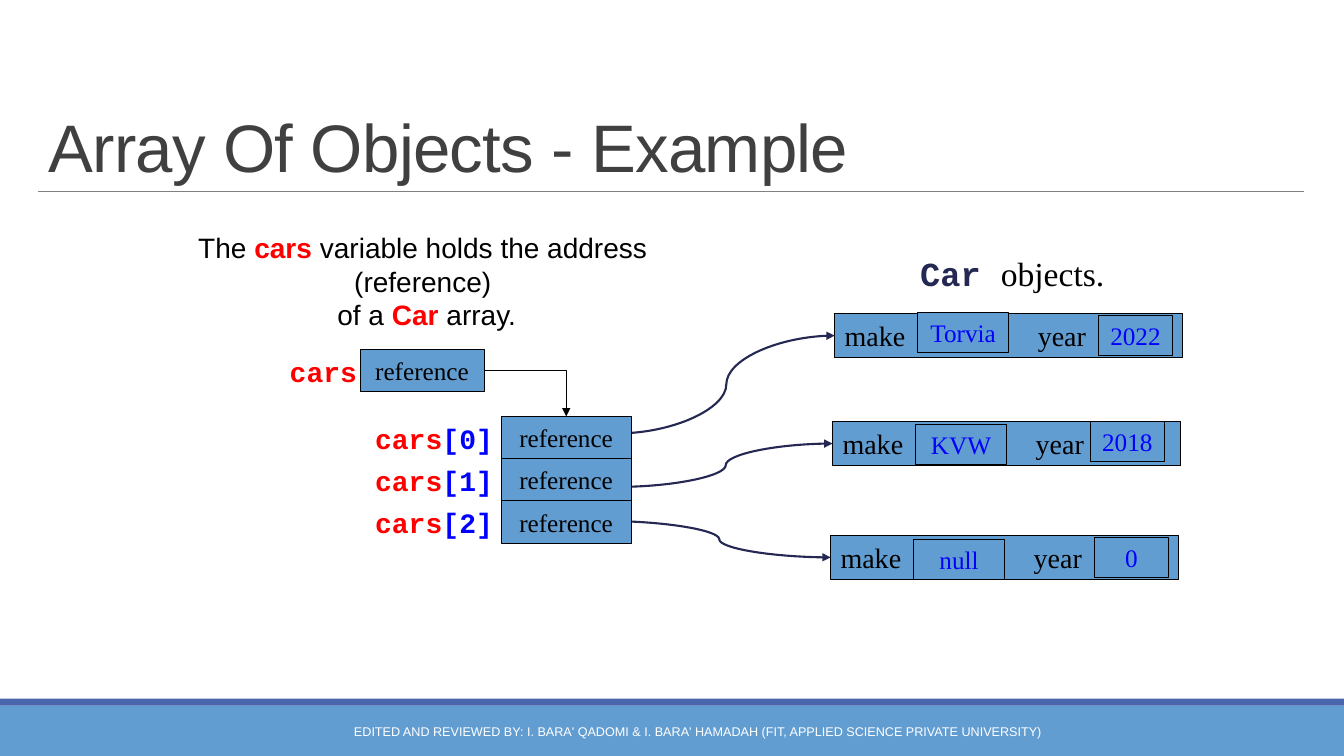
from dataclasses import dataclass

from lxml.etree import SubElement
from pptx import Presentation
from pptx.dml.color import RGBColor
from pptx.enum.shapes import MSO_CONNECTOR as Link, MSO_SHAPE as Preset
from pptx.enum.text import MSO_ANCHOR as Anchor, PP_ALIGN as Align
from pptx.oxml.ns import qn
from pptx.shapes.autoshape import Shape
from pptx.shapes.connector import Connector
from pptx.text.text import TextFrame
from pptx.util import Pt

SKY, INDIGO, NAVY = "629DD1", "4A66AC", "242852"
BLACK, WHITE, RED, BLUE = "000000", "FFFFFF", "FF0000", "0000FF"
SANS, MONO, SERIF = "Arial", "Courier New", "Times New Roman"


@dataclass(frozen=True)
class Box:
    left: float
    top: float
    width: float
    height: float


@dataclass(frozen=True)
class Words:
    text: str
    size: float
    font: str
    color: str = BLACK
    bold: bool = False


@dataclass(frozen=True)
class CarObject:
    left: float
    top: float
    make: str
    make_drop: float
    year: str
    year_shift: float
    year_drop: float
    arrow_start: tuple[float, float]


CAR_OBJECTS = [
    CarObject(596.2, 223.9, "Torvia", -0.7, "2022", 188.6, 1.4, (441.4, 309.6)),
    CarObject(594.7, 301, "KVW", 2.2, "2018", 184.3, 0, (442.1, 347.8)),
    CarObject(593.3, 382.3, "null", 2.9, "0", 188.6, 1.4, (434.2, 372.2)),
]
OBJECT_WIDTH, OBJECT_HEIGHT, FIELD_HEIGHT = 248.4, 31.7, 28.8
MAKE_SHIFT, MAKE_WIDTH, YEAR_WIDTH, YEAR_TAB = 59, 65.5, 52.6, 138
ARRAY = Box(358, 297.4, 92.9, 30.2)
CARS = Box(257.2, 249.8, 88.6, 30.2)
INDEX_LEFT, INDEX_WIDTH, LABEL_HEIGHT = 213.8, 145.4, 31.7


def rgb(color: str) -> RGBColor:
    return RGBColor.from_string(color)


def place(shape: Shape, box: Box) -> None:
    shape.left, shape.top = Pt(box.left), Pt(box.top)
    shape.width, shape.height = Pt(box.width), Pt(box.height)


def write(frame: TextFrame, lines: list[list[Words]], align: Align,
          anchor: Anchor = Anchor.TOP, wrap: bool = True) -> None:
    frame.word_wrap = wrap
    frame.vertical_anchor = anchor
    for number, line in enumerate(lines):
        paragraph = frame.add_paragraph() if number else frame.paragraphs[0]
        paragraph.alignment = align
        for words in line:
            run = paragraph.add_run()
            run.text = words.text
            run.font.size, run.font.name = Pt(words.size), words.font
            run.font.bold = words.bold
            run.font.color.rgb = rgb(words.color)


def add_rect(box: Box, fill: str, outline: str | None = None) -> Shape:
    rect = slide.shapes.add_shape(Preset.RECTANGLE, Pt(box.left), Pt(box.top),
                                  Pt(box.width), Pt(box.height))
    rect.shadow.inherit = False
    rect.fill.solid()
    rect.fill.fore_color.rgb = rgb(fill)
    if outline:
        rect.line.color.rgb = rgb(outline)
        rect.line.width = Pt(0.75)
    else:
        rect.line.fill.background()
    return rect


def add_cell(box: Box, words: Words, align: Align = Align.CENTER,
             anchor: Anchor = Anchor.TOP, wrap: bool = True) -> Shape:
    cell = add_rect(box, SKY, BLACK)
    write(cell.text_frame, [[words]], align, anchor, wrap)
    return cell


def add_reference(box: Box) -> None:
    add_cell(box, Words("reference", 18, SERIF), anchor=Anchor.MIDDLE, wrap=False)


def add_text(box: Box, lines: list[list[Words]], align: Align,
             anchor: Anchor = Anchor.TOP) -> None:
    text = slide.shapes.add_textbox(Pt(box.left), Pt(box.top),
                                    Pt(box.width), Pt(box.height))
    write(text.text_frame, lines, align, anchor)


def add_line(kind: Link, start: tuple[float, float], end: tuple[float, float],
             color: str, width: float, arrow: bool = True) -> Connector:
    line = slide.shapes.add_connector(kind, Pt(start[0]), Pt(start[1]),
                                      Pt(end[0]), Pt(end[1]))
    line.line.color.rgb = rgb(color)
    line.line.width = Pt(width)
    properties = line._element.spPr
    if arrow:
        SubElement(properties.find(qn("a:ln")), qn("a:tailEnd"), type="triangle")
    SubElement(properties, qn("a:effectLst"))
    return line


def add_car_object(car: CarObject) -> None:
    fields = add_cell(Box(car.left, car.top, OBJECT_WIDTH, OBJECT_HEIGHT),
                      Words("make\tyear", 20, SERIF), Align.LEFT)
    tabs = SubElement(fields.text_frame.paragraphs[0]._p.get_or_add_pPr(), qn("a:tabLst"))
    SubElement(tabs, qn("a:tab"), pos=str(Pt(YEAR_TAB)), algn="l")
    add_cell(Box(car.left + car.year_shift, car.top + car.year_drop,
                 YEAR_WIDTH, FIELD_HEIGHT), Words(car.year, 18, SERIF, BLUE))
    add_cell(Box(car.left + MAKE_SHIFT, car.top + car.make_drop,
                 MAKE_WIDTH, FIELD_HEIGHT), Words(car.make, 18, SERIF, BLUE))
    add_line(Link.CURVE, car.arrow_start, (car.left, car.top + OBJECT_HEIGHT / 2), NAVY, 1.5)


deck = Presentation()
deck.slide_width, deck.slide_height = Pt(960), Pt(540)
slide = deck.slides.add_slide(deck.slide_layouts[5])

add_rect(Box(0, 504, 960, 36), SKY)
add_rect(Box(0, 499, 960, 5), INDIGO)
add_line(Link.STRAIGHT, (27.4, 136.8), (931.7, 136.8), "808080", 0.5, arrow=False)

title = slide.shapes.title
place(title, Box(27.4, 22.3, 904.3, 114.5))
write(title.text_frame, [[Words("Array Of Objects - Example", 48, SANS, "404040")]],
      Align.LEFT, Anchor.BOTTOM)
heading = title.text_frame.paragraphs[0]
heading.line_spacing = 0.85
heading.runs[0].font._element.set("spc", "-50")

credit = ("EDITED AND REVIEWED BY: I. BARA' QADOMI & I. BARA' HAMADAH "
          "(FIT, APPLIED SCIENCE PRIVATE UNIVERSITY)")
add_text(Box(223.9, 508.3, 548.6, 28.8), [[Words(credit, 9, SANS, WHITE)]],
         Align.CENTER, Anchor.MIDDLE)

for car_object in CAR_OBJECTS:
    add_car_object(car_object)

add_text(Box(650.2, 177.1, 196.6, 36),
         [[Words("Car ", 24, MONO, NAVY, True), Words("objects.", 24, SERIF)]], Align.LEFT)
add_text(Box(113, 161, 378, 79.9),
         [[Words("The ", 20, SANS), Words("cars", 20, SANS, RED, True),
           Words(" variable holds the address (reference)", 20, SANS)],
          [Words(" of a ", 20, SANS), Words("Car", 20, SANS, RED, True),
           Words(" array.", 20, SANS)]], Align.CENTER)

cars_name = Words("cars", 20, MONO, RED, True)
add_reference(CARS)
add_text(Box(143.3, CARS.top, 118.8, LABEL_HEIGHT), [[cars_name]], Align.RIGHT)
for index in range(len(CAR_OBJECTS)):
    row_top = ARRAY.top + index * ARRAY.height
    add_reference(Box(ARRAY.left, row_top, ARRAY.width, ARRAY.height))
    add_text(Box(INDEX_LEFT, row_top, INDEX_WIDTH, LABEL_HEIGHT),
             [[cars_name, Words(f"[{index}]", 20, MONO, BLUE, True)]], Align.RIGHT)

array_arrow = add_line(Link.ELBOW, (CARS.left + CARS.width, CARS.top + CARS.height / 2),
                       (ARRAY.left + ARRAY.width / 2, ARRAY.top), BLACK, 0.75)
array_arrow._element.spPr.find(qn("a:prstGeom")).set("prst", "bentConnector2")

deck.save("out.pptx")
